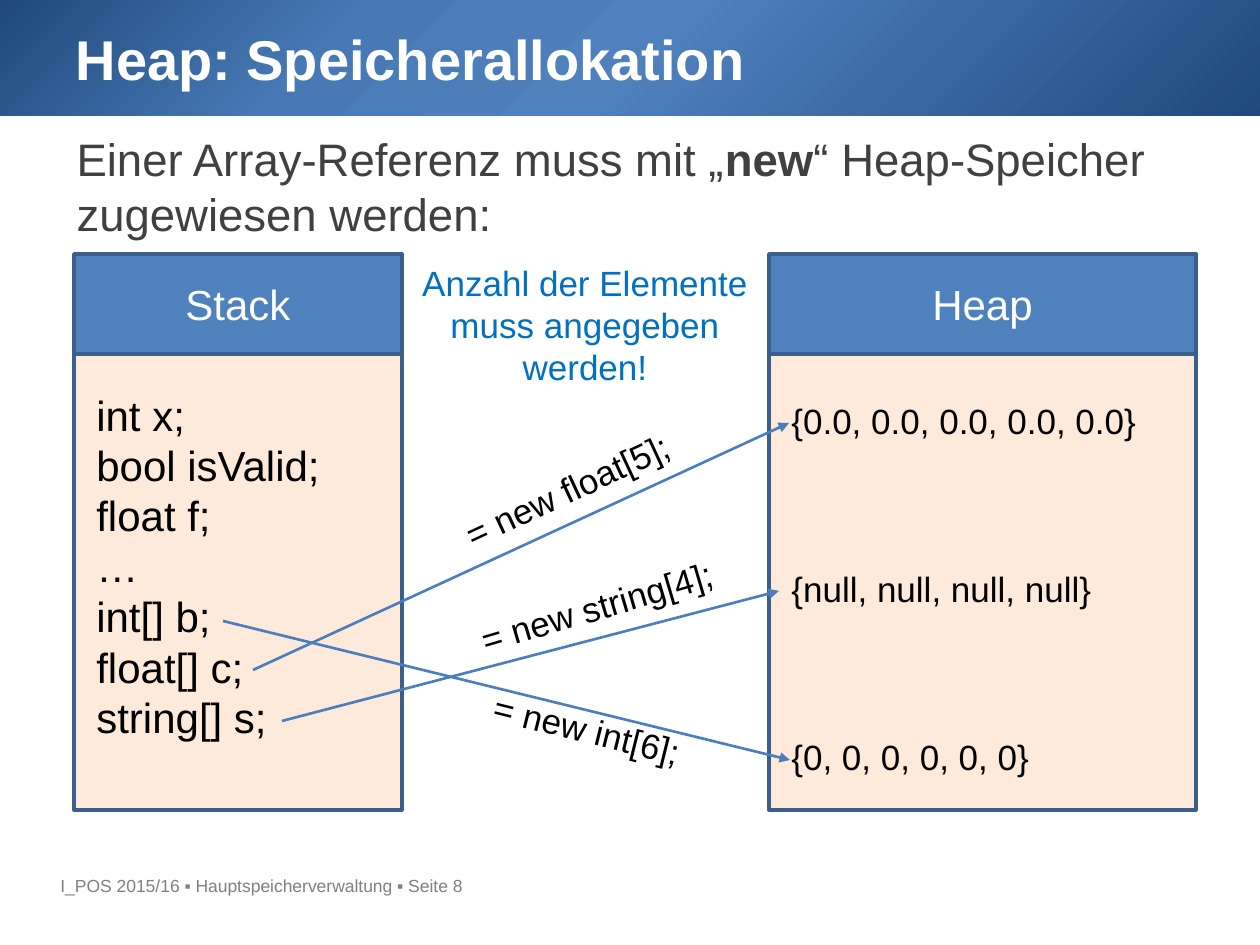
from dataclasses import dataclass
from lxml import etree
from pptx import Presentation
from pptx.dml.color import RGBColor
from pptx.enum.shapes import MSO_CONNECTOR as Link, MSO_SHAPE as Shape
from pptx.enum.text import MSO_ANCHOR as Anchor, MSO_AUTO_SIZE as Fit, PP_ALIGN as Align
from pptx.oxml import parse_xml
from pptx.oxml.ns import nsdecls, qn
from pptx.util import Pt

SCALE = 914400 / 126


def px(n):
    return round(n * SCALE)


def color(code):
    return RGBColor.from_string(code)


@dataclass
class Deck:
    slide: object
    face: str = "Arial"
    blue: str = "4F81BD"
    edge: str = "3A5F8C"
    wire: str = "4B7EBC"

    def style(self, para, size, tone, bold=False, align=Align.LEFT):
        para.alignment = align
        font = para.font
        font.name, font.size, font.bold = self.face, Pt(size), bold
        font.color.rgb = color(tone)

    def place(self, item, box):
        item.left, item.top, item.width, item.height = map(px, box)
        frame = item.text_frame
        frame.word_wrap = True
        frame.auto_size = Fit.NONE
        frame.vertical_anchor = Anchor.TOP
        return frame

    def title(self, box, text):
        frame = self.place(self.slide.shapes.title, box)
        frame.text = text
        self.style(frame.paragraphs[0], 32, "FFFFFF", True)

    def body(self, box, parts):
        para = self.place(self.slide.placeholders[1], box).paragraphs[0]
        props = para._p.get_or_add_pPr()
        props.set("marL", "0")
        props.set("indent", "0")
        etree.SubElement(props, qn("a:buNone"))
        para.space_before = Pt(0)
        self.style(para, 26, "404040")
        for text, bold in parts:
            run = para.add_run()
            run.text = text
            run.font.bold = bold

    def text(self, box, lines, size=20, tone="000000", align=Align.LEFT, turn=0):
        item = self.slide.shapes.add_textbox(*map(px, box))
        frame = self.place(item, box)
        frame.text = "\n".join(lines)
        for para in frame.paragraphs:
            self.style(para, size, tone, align=align)
        item.rotation = turn

    def rect(self, box, fill, text=""):
        item = self.slide.shapes.add_shape(Shape.RECTANGLE, *map(px, box))
        item.shadow.inherit = False
        item.fill.solid()
        item.fill.fore_color.rgb = color(fill)
        item.line.color.rgb = color(self.edge)
        item.line.width = Pt(2)
        if text:
            frame = item.text_frame
            frame.text = text
            frame.vertical_anchor = Anchor.MIDDLE
            self.style(frame.paragraphs[0], 24, "FFFFFF", align=Align.CENTER)
        return item

    def banner(self, box, stops):
        item = self.rect(box, self.blue)
        item.line.fill.background()
        marks = "".join(
            f'<a:gs pos="{at * 1000}"><a:srgbClr val="{tone}"/></a:gs>'
            for at, tone in stops)
        grad = parse_xml(
            f'<a:gradFill {nsdecls("a")} rotWithShape="1"><a:gsLst>{marks}</a:gsLst>'
            '<a:path path="circle"><a:fillToRect r="100000" b="100000"/></a:path>'
            '</a:gradFill>')
        props = item._element.spPr
        props.replace(props.find(qn("a:solidFill")), grad)
        tree = self.slide.shapes._spTree
        tree.remove(item._element)
        tree.insert(2, item._element)

    def arrow(self, ends):
        item = self.slide.shapes.add_connector(Link.STRAIGHT, *map(px, ends))
        item.line.color.rgb = color(self.wire)
        item.line.width = Pt(1.5)
        tail = etree.SubElement(item.line._get_or_add_ln(), qn("a:tailEnd"))
        tail.set("type", "triangle")
        etree.SubElement(item._element.spPr, qn("a:effectLst"))


def main():
    prs = Presentation()
    prs.slide_width, prs.slide_height = px(1260), px(945)
    deck = Deck(prs.slides.add_slide(prs.slide_layouts[1]))

    deck.banner((-1, -1, 1275, 117), [
        (0, "1F497D"), (27, "4879B4"), (50, deck.blue), (100, "1F497D")])
    deck.text((48, 869, 473, 42),
              ["I_POS 2015/16 ▪ Hauptspeicherverwaltung ▪ Seite 8"], 10, "808080")
    deck.title((63, 18, 1134, 158), "Heap: Speicherallokation")
    deck.body((64, 125, 1132, 694), [
        ("Einer Array-Referenz muss mit „", False), ("new", True),
        ("“ Heap-Speicher zugewiesen werden:", False)])

    for name, left, width in [("Stack", 74, 328), ("Heap", 769, 427)]:
        deck.rect((left, 254, width, 100), deck.blue, name)
        deck.rect((left, 354, width, 456), "FDEADA")

    deck.text((84, 383, 277, 365), [
        "int x;", "bool isValid;", "float f;", "…",
        "int[] b;", "float[] c;", "string[] s;"], 24)
    values = ["{0.0, 0.0, 0.0, 0.0, 0.0}", "{null, null, null, null}",
              "{0, 0, 0, 0, 0, 0}"]
    for row, value in enumerate(values):
        deck.text((779, 393 + 168 * row, 436, 55), [value])

    for ends in [(223, 621, 790, 760), (253, 670, 789, 423), (282, 721, 779, 591)]:
        deck.arrow(ends)
    for text, left, top, width, turn in [
            ("= new int[6];", 479, 706, 249, 13.9),
            ("= new float[5];", 442, 449, 307, -24.9),
            ("= new string[4];", 464, 573, 307, -16.4)]:
        deck.text((left, top, width, 55), [text], turn=turn)
    deck.text((403, 255, 364, 140), ["Anzahl der Elemente muss angegeben werden!"],
              tone="0070C0", align=Align.CENTER)

    prs.save("out.pptx")


if __name__ == "__main__":
    main()
